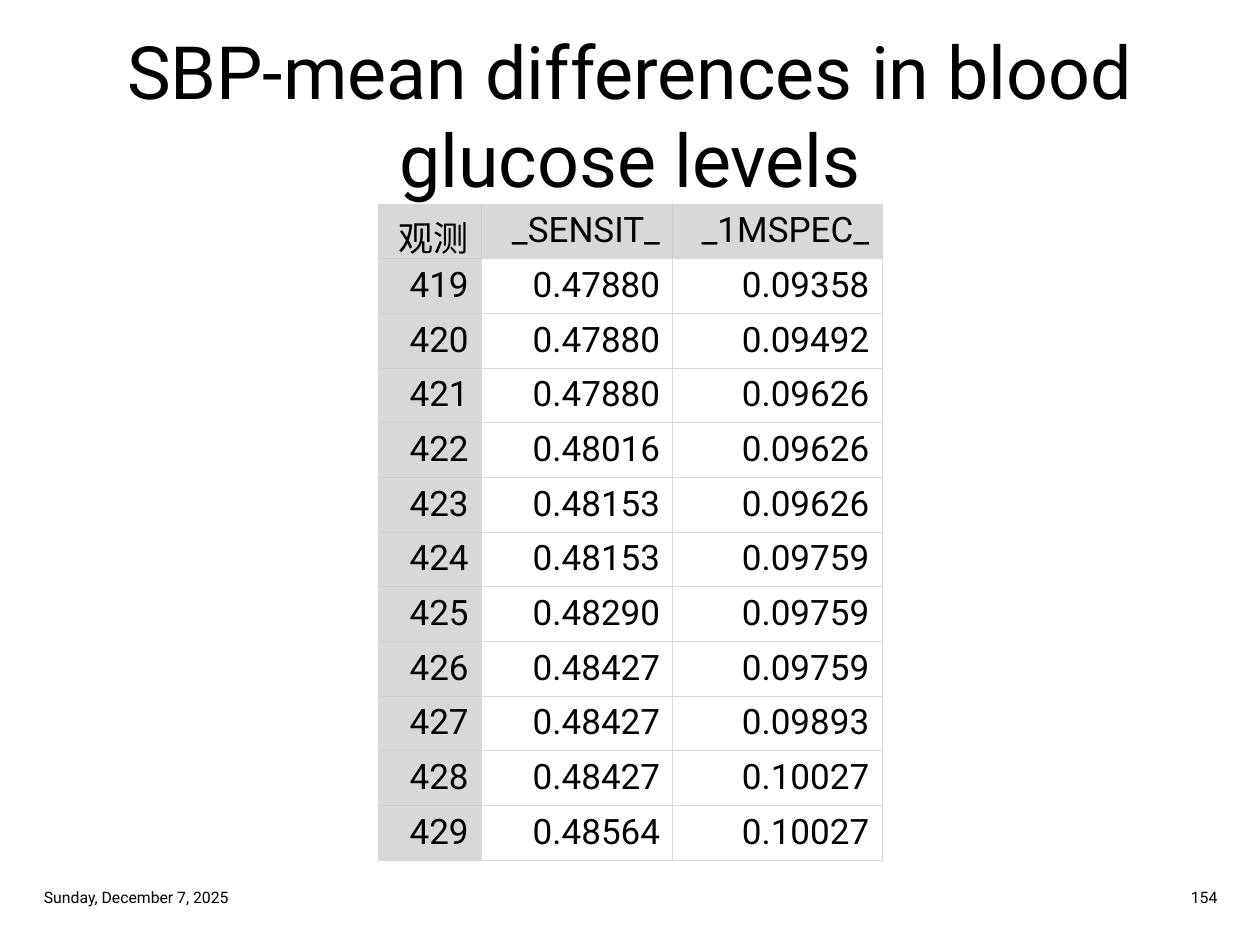
from lxml.etree import SubElement
from pptx import Presentation
from pptx.dml.color import RGBColor
from pptx.enum.text import MSO_ANCHOR as Anchor, PP_ALIGN as Align
from pptx.oxml.ns import qn
from pptx.util import Inches, Pt

BLACK = RGBColor(0x00, 0x00, 0x00)
HEADER_GRAY = RGBColor(0xD8, 0xD8, 0xD8)
INNER_GRAY = RGBColor(0xCC, 0xCC, 0xCC)

HEADERS = ("观测", "_SENSIT_", "_1MSPEC_")
FIRST_OBSERVATION = 419
MEASUREMENTS = (
    ("0.47880", "0.09358"),
    ("0.47880", "0.09492"),
    ("0.47880", "0.09626"),
    ("0.48016", "0.09626"),
    ("0.48153", "0.09626"),
    ("0.48153", "0.09759"),
    ("0.48290", "0.09759"),
    ("0.48427", "0.09759"),
    ("0.48427", "0.09893"),
    ("0.48427", "0.10027"),
    ("0.48564", "0.10027"),
)
COLUMN_WIDTHS = (0.82, 1.52, 1.66)
ROW_HEIGHT = 0.42


class SlideBuilder:
    """Holds the style and the current slide, and adds each kind of element."""

    def __init__(self, slide, font_name="Roboto", color=BLACK):
        self.slide = slide
        self.font_name = font_name
        self.color = color

    def fill_text(self, frame, text, size, align):
        paragraph = frame.paragraphs[0]
        paragraph.text = text
        paragraph.alignment = align
        font_format = {"name": self.font_name, "size": Pt(size)}
        for run in paragraph.runs:
            for name, value in font_format.items():
                setattr(run.font, name, value)
            run.font.color.rgb = self.color

    def text(self, text, left, top, width, height, size, align):
        box = self.slide.shapes.add_textbox(
            Inches(left), Inches(top), Inches(width), Inches(height))
        frame_format = {"word_wrap": True, "vertical_anchor": Anchor.MIDDLE}
        for name, value in frame_format.items():
            setattr(box.text_frame, name, value)
        self.fill_text(box.text_frame, text, size, align)

    def border(self, cell, side, color):
        properties = cell._tc.get_or_add_tcPr()
        line = SubElement(properties, qn(f"a:ln{side}"), w=str(Pt(0.5)))
        fill = SubElement(line, qn("a:solidFill"))
        SubElement(fill, qn("a:srgbClr"), val=str(color))

    def table(self, rows, left, top, column_widths, row_height, size):
        last_row, last_column = len(rows) - 1, len(column_widths) - 1
        frame = self.slide.shapes.add_table(
            len(rows), len(column_widths), Inches(left), Inches(top),
            Inches(sum(column_widths)), Inches(row_height * len(rows)))
        table = frame.table
        for name in ("first_row", "horz_banding"):
            setattr(table, name, False)
        for column, width in zip(table.columns, column_widths):
            column.width = Inches(width)
        for r, values in enumerate(rows):
            table.rows[r].height = Inches(row_height)
            for c, value in enumerate(values):
                cell = table.cell(r, c)
                is_header = r == 0 or c == 0
                outer = {"L": c == 0, "R": c == last_column,
                         "T": r == 0, "B": r == last_row}
                for side, is_outer in outer.items():
                    inner = is_header and not is_outer
                    self.border(cell, side, INNER_GRAY if inner else HEADER_GRAY)
                if is_header:
                    cell.fill.solid()
                    cell.fill.fore_color.rgb = HEADER_GRAY
                else:
                    cell.fill.background()
                self.fill_text(cell.text_frame, value, size, Align.RIGHT)


def main():
    presentation = Presentation()
    presentation.slide_width = Inches(10)
    presentation.slide_height = Inches(7.5)
    builder = SlideBuilder(
        presentation.slides.add_slide(presentation.slide_layouts[6]))

    builder.text("SBP-mean differences in blood\vglucose levels",
                 0.25, 0.25, 9.5, 1.31, 42, Align.CENTER)
    observations = [(str(number), *values) for number, values
                    in enumerate(MEASUREMENTS, FIRST_OBSERVATION)]
    builder.table([HEADERS, *observations], 3, 1.62,
                  COLUMN_WIDTHS, ROW_HEIGHT, 20)
    builder.text("Sunday, December 7, 2025", 0.25, 6.99, 2.38, 0.26, 9, Align.LEFT)
    builder.text("154", 7.38, 6.99, 2.38, 0.26, 9, Align.RIGHT)

    presentation.save("out.pptx")


if __name__ == "__main__":
    main()
